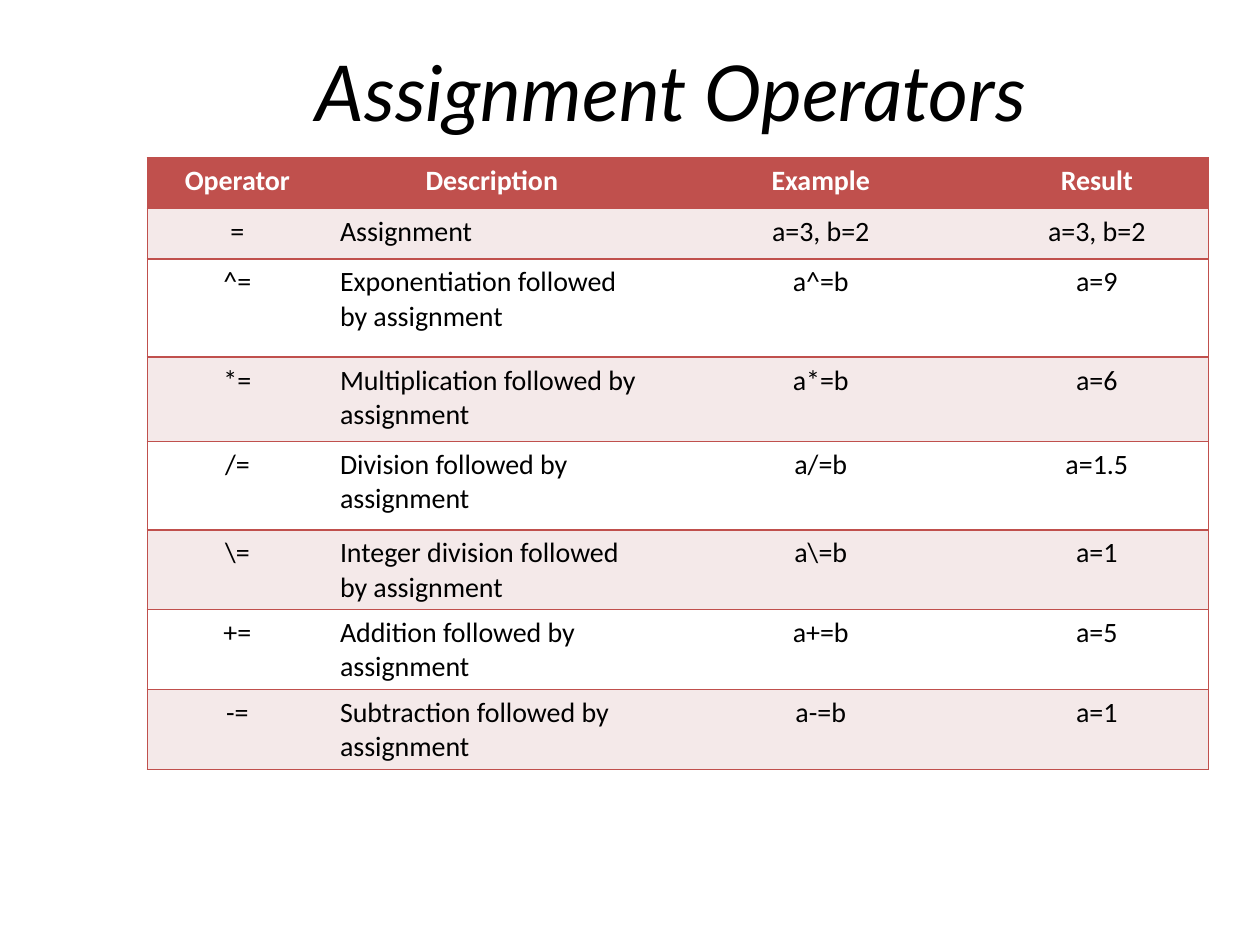
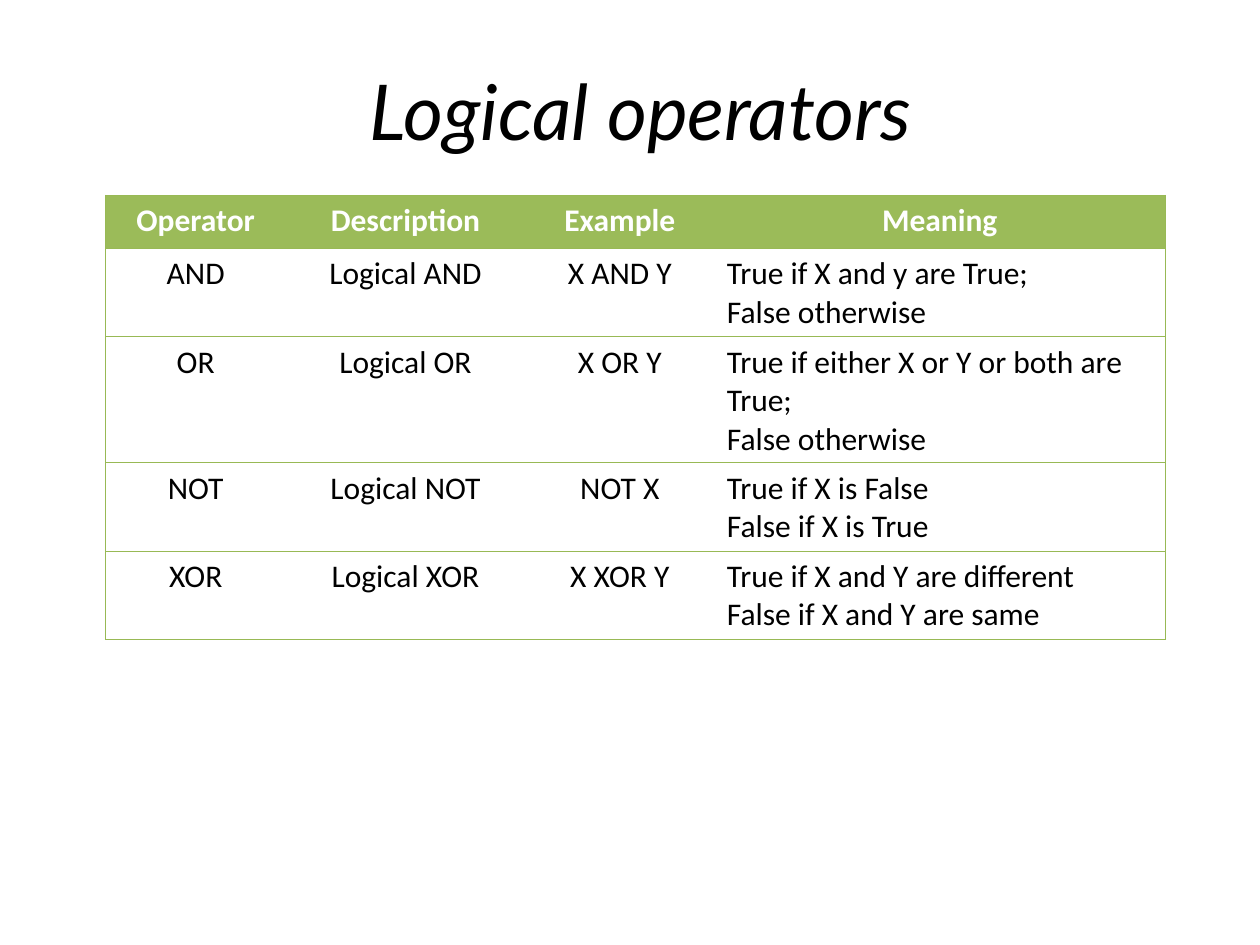
"""Build two slides that tabulate assignment and logical operators."""
from dataclasses import dataclass

from lxml import etree
from pptx import Presentation
from pptx import util as u
from pptx.dml.color import RGBColor
from pptx.enum import text
from pptx.oxml import ns

BLACK = "000000"
WHITE = "FFFFFF"
PLAIN_TABLE_STYLE = "{2D5ABB26-0587-4C30-8999-92F81FD0307C}"


@dataclass(frozen=True)
class Box:
    left: float
    top: float
    width: float
    height: float

    def lengths(self) -> tuple[u.Length, ...]:
        return tuple(u.Cm(value) for value in (self.left, self.top, self.width, self.height))


@dataclass(frozen=True)
class TableStyle:
    header: str
    bands: tuple[str, str]
    border: str
    border_width: float
    font_size: int


@dataclass(frozen=True)
class OperatorSlide:
    title: str
    title_box: Box
    left: float
    top: float
    column_widths: tuple[float, ...]
    row_heights: tuple[float, ...]
    prose_column: int
    style: TableStyle
    rows: tuple[tuple[str, ...], ...]


def color(value: str) -> RGBColor:
    return RGBColor.from_string(value)


def add_title(slide, title: str, box: Box) -> None:
    frame = slide.shapes.add_textbox(*box.lengths()).text_frame
    frame.word_wrap = True
    frame.vertical_anchor = text.MSO_ANCHOR.MIDDLE
    paragraph = frame.paragraphs[0]
    paragraph.text = title
    paragraph.alignment = text.PP_ALIGN.CENTER
    paragraph.font.name = "Lato"
    paragraph.font.size = u.Pt(44)
    paragraph.font.italic = True
    paragraph.font.color.rgb = color(BLACK)


def add_borders(cell, sides: str, style: TableStyle) -> None:
    properties = cell._tc.get_or_add_tcPr()
    for side in sides:
        line = etree.SubElement(properties, ns.qn(f"a:ln{side}"), w=str(u.Pt(style.border_width)))
        fill = etree.SubElement(line, ns.qn("a:solidFill"))
        etree.SubElement(fill, ns.qn("a:srgbClr"), val=style.border)


def fill_cell(cell, content: str, background: str, is_header: bool, centered: bool, size: int) -> None:
    cell.fill.solid()
    cell.fill.fore_color.rgb = color(background)
    cell.text_frame.text = content
    for paragraph in cell.text_frame.paragraphs:
        paragraph.alignment = text.PP_ALIGN.CENTER if centered else text.PP_ALIGN.LEFT
        paragraph.font.name = "Calibri"
        paragraph.font.size = u.Pt(size)
        paragraph.font.bold = is_header
        paragraph.font.color.rgb = color(WHITE if is_header else BLACK)


def add_operator_table(slide, content: OperatorSlide) -> None:
    style = content.style
    box = Box(content.left, content.top, sum(content.column_widths), sum(content.row_heights))
    last_column = len(content.column_widths) - 1
    table = slide.shapes.add_table(len(content.rows), last_column + 1, *box.lengths()).table
    table._tbl.tblPr.find(ns.qn("a:tableStyleId")).text = PLAIN_TABLE_STYLE
    for column, width in zip(table.columns, content.column_widths):
        column.width = u.Cm(width)
    for row, height in zip(table.rows, content.row_heights):
        row.height = u.Cm(height)
    for row_index, values in enumerate(content.rows):
        is_header = row_index == 0
        background = style.header if is_header else style.bands[(row_index - 1) % 2]
        for column_index, value in enumerate(values):
            cell = table.cell(row_index, column_index)
            sides = "L" * (column_index == 0) + "R" * (column_index == last_column) + "TB"
            add_borders(cell, sides, style)
            centered = is_header or column_index != content.prose_column
            fill_cell(cell, value, background, is_header, centered, style.font_size)


ASSIGNMENT = OperatorSlide(
    title="Assignment Operators",
    title_box=Box(2.95, 0.51, 21.16, 2.62),
    left=2.97,
    top=3.18,
    column_widths=(3.63, 6.63, 6.63, 4.5),
    row_heights=(1.02, 1.02, 1.98, 1.7, 1.78, 1.6, 1.6, 1.6),
    prose_column=1,
    style=TableStyle("C0504D", ("F4E9E9", WHITE), "C0504D", 1, 16),
    rows=(
        ("Operator", "Description", "Example", "Result"),
        ("=", "Assignment", "a=3, b=2", "a=3, b=2"),
        ("^=", "Exponentiation followed by assignment", "a^=b", "a=9"),
        ("*=", "Multiplication followed by assignment", "a*=b", "a=6"),
        ("/=", "Division followed by assignment", "a/=b", "a=1.5"),
        ("\\=", "Integer division followed by assignment", "a\\=b", "a=1"),
        ("+=", "Addition followed by assignment", "a+=b", "a=5"),
        ("-=", "Subtraction followed by assignment", "a-=b", "a=1"),
    ),
)

LOGICAL = OperatorSlide(
    title="Logical operators",
    title_box=Box(2.34, 0.3, 21.16, 3.81),
    left=2.13,
    top=3.94,
    column_widths=(3.63, 4.83, 3.81, 9.09),
    row_heights=(1.07, 1.78, 2.54, 1.78, 1.78),
    prose_column=3,
    style=TableStyle("9BBB59", (WHITE, WHITE), "98B955", 0.75, 18),
    rows=(
        ("Operator", "Description", "Example", "Meaning"),
        ("AND", "Logical AND", "X AND Y", "True if X and y are True;\nFalse otherwise"),
        ("OR", "Logical OR", "X OR Y", "True if either X or Y or both are True;\nFalse otherwise"),
        ("NOT", "Logical NOT", "NOT X", "True if X is False\nFalse if X is True"),
        ("XOR", "Logical XOR", "X XOR Y", "True if X and Y are different\nFalse if X and Y are same"),
    ),
)


def main() -> None:
    presentation = Presentation()
    presentation.slide_width = u.Cm(25.4)
    presentation.slide_height = u.Cm(19.05)
    for content in (ASSIGNMENT, LOGICAL):
        slide = presentation.slides.add_slide(presentation.slide_layouts[6])
        add_title(slide, content.title, content.title_box)
        add_operator_table(slide, content)
    presentation.save("out.pptx")


main()
